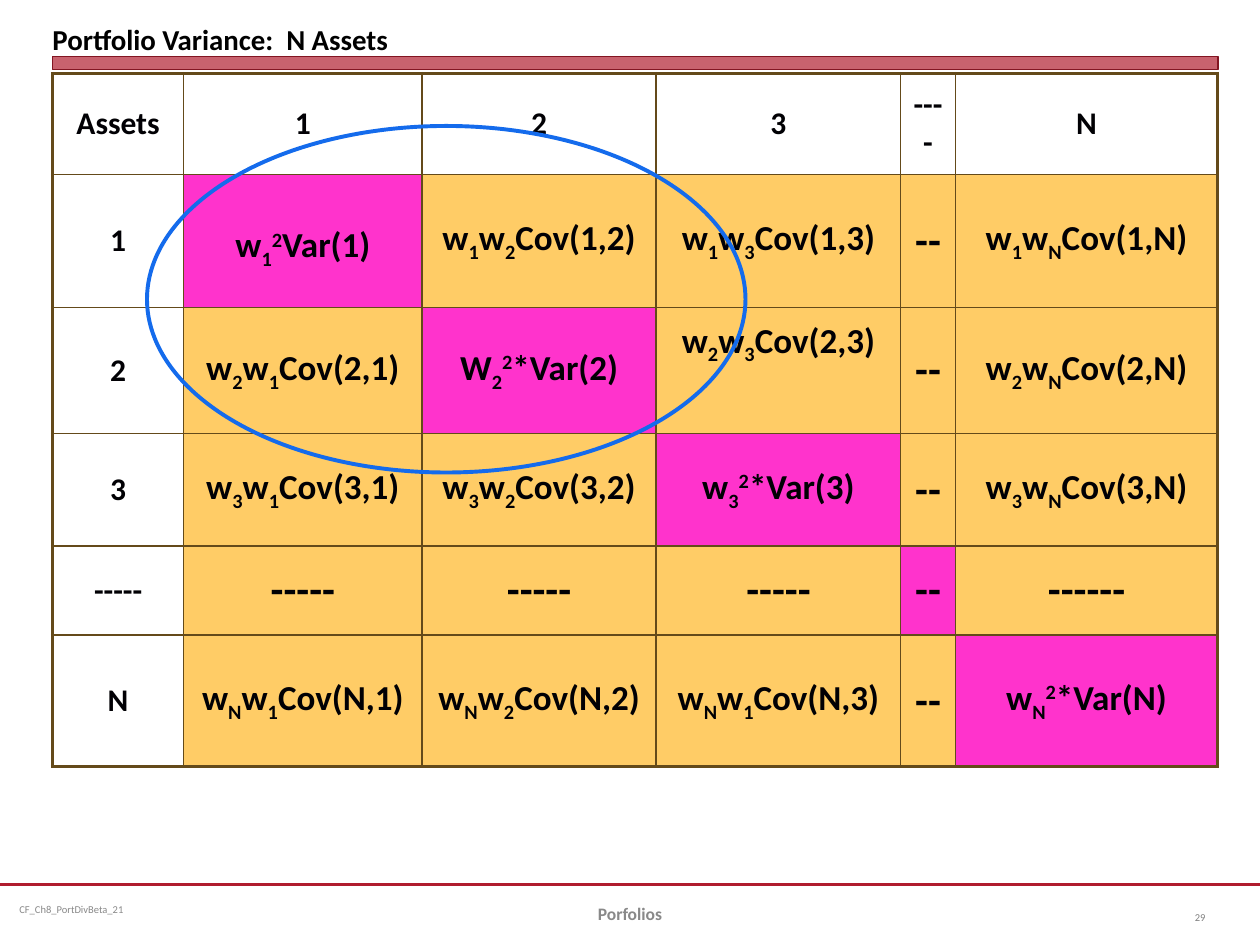
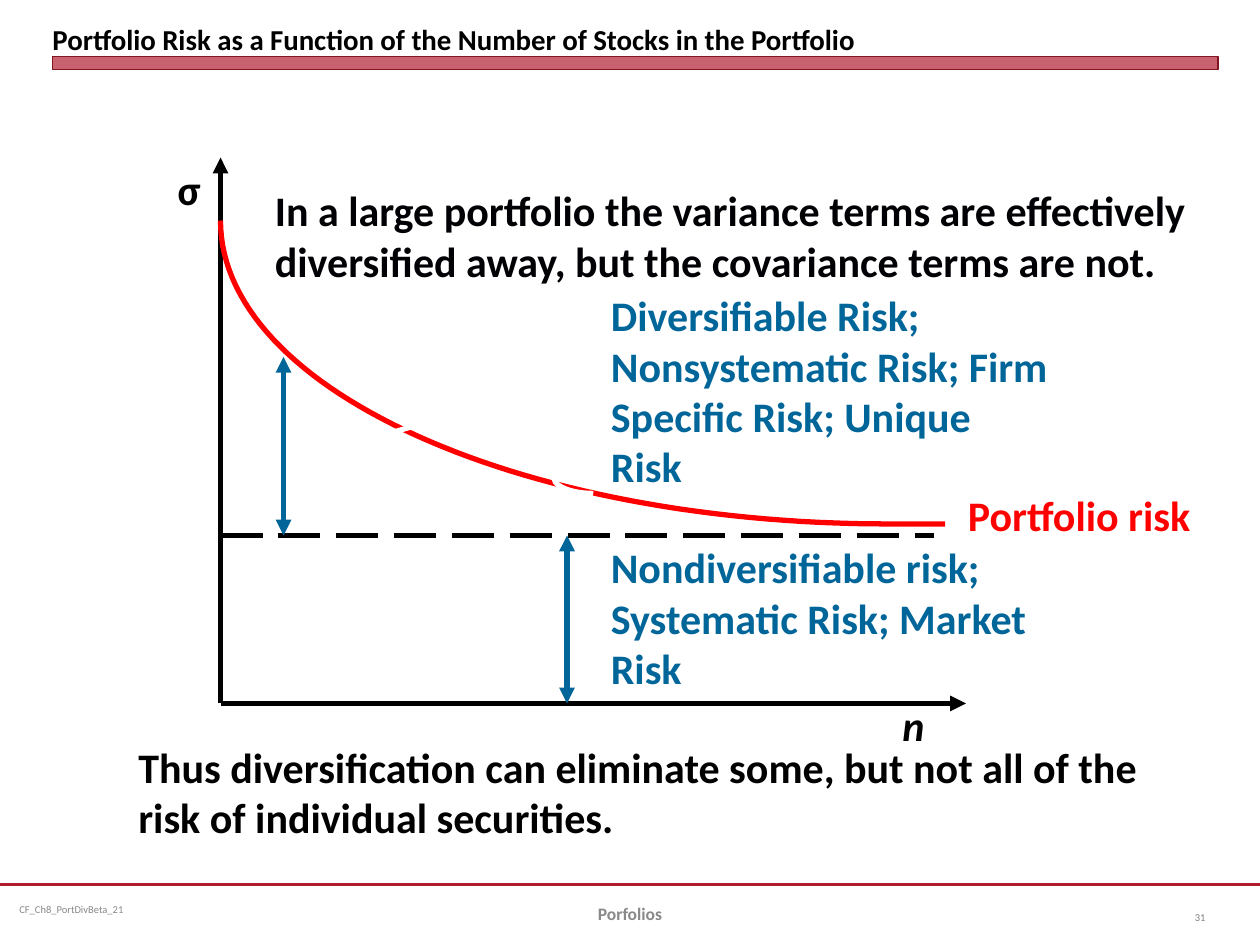
import pptx
import pptx.dml.color
import pptx.enum.dml
import pptx.enum.shapes
import pptx.enum.text
import pptx.oxml
import pptx.oxml.ns
import pptx.util

RGB = pptx.dml.color.RGBColor
SHAPE = pptx.enum.shapes.MSO_SHAPE
ALIGN = pptx.enum.text.PP_ALIGN
ANCHOR = pptx.enum.text.MSO_ANCHOR
Pt = pptx.util.Pt

BLACK = RGB(0, 0, 0)
WHITE = RGB(255, 255, 255)
INK = RGB(0x01, 0x00, 0x04)
CRIMSON = RGB(0xB0, 0x1C, 0x2E)
MAROON = RGB(0x82, 0x15, 0x22)
GREY = RGB(0x89, 0x89, 0x89)
PAGE_GREY = RGB(0x80, 0x80, 0x80)
BROWN = RGB(0x64, 0x4A, 0x1A)
PINK = RGB(0xFF, 0x33, 0xCC)
AMBER = RGB(0xFF, 0xCC, 0x66)
BLUE = RGB(0x14, 0x6B, 0xEC)
TEAL = RGB(0x00, 0x66, 0x99)
RED = RGB(255, 0, 0)

# All places are counted in grid units: 120 columns by 90 rows, 12 to the inch
COLUMNS, ROWS = 120, 90
UNIT = pptx.util.Inches(1) / 12
LEFT, CONTENT_WIDTH = 5, 111

FOOTER_FILE = "CF_Ch8_PortDivBeta_21"
FOOTER_TOPIC = "Porfolios"

VARIANCE_TITLE = "Portfolio Variance:  N Assets"
# "_" lowers the next letter and "^" raises it
VARIANCE_ROWS = [
    ["Assets", "1", "2", "3", "----", "N"],
    ["1", "w_1^2Var(1)", "w_1w_2Cov(1,2)", "w_1w_3Cov(1,3)", "--", "w_1w_NCov(1,N)"],
    ["2", "w_2w_1Cov(2,1)", "W_2^2*Var(2)", "w_2w_3Cov(2,3)", "--", "w_2w_NCov(2,N)"],
    ["3", "w_3w_1Cov(3,1)", "w_3w_2Cov(3,2)", "w_3^2*Var(3)", "--", "w_3w_NCov(3,N)"],
    ["-----", "-----", "-----", "-----", "--", "------"],
    ["N", "w_Nw_1Cov(N,1)", "w_Nw_2Cov(N,2)", "w_Nw_1Cov(N,3)", "--", "w_N^2*Var(N)"],
]
COLUMN_WIDTHS = [12.5, 22.7, 22.3, 23.3, 5.2, 25]
ROW_HEIGHTS = [9.6, 12.7, 12, 10.7, 8.5, 12.5]
BASELINES = {"_": "-25000", "^": "30000"}
LOOSE_CELL, RAISED_CELL = (1, 1), (2, 3)
TWO_ASSET_RING = (14, 12, 57, 33)

RISK_TITLE = "Portfolio Risk as a Function of the Number of Stocks in the Portfolio"
ORIGIN_X, ORIGIN_Y, MARKET_Y = 21, 67, 51
AXES = [
    ((ORIGIN_X, ORIGIN_Y), (ORIGIN_X, 15), BLACK, ["tail"]),
    ((ORIGIN_X, ORIGIN_Y), (92, ORIGIN_Y), BLACK, ["tail"]),
]
MARKET_LINE = ((ORIGIN_X, MARKET_Y), (89, MARKET_Y), BLACK)
POINTERS = [
    ((54, MARKET_Y), (54, ORIGIN_Y), TEAL, ["head", "tail"]),
    ((27, 34), (27, MARKET_Y), TEAL, ["head", "tail"]),
    ((48, 38), (28, 44), WHITE, ["tail"]),
]
CURVE_END = (90, 49.9)
CURVE_CONTROLS = [(85, 49.9), (49.7, 50), (ORIGIN_X, 37.1), (ORIGIN_X, 21)]
CURVE_STEPS = 60
BRACE = (49, 29, 7.5, 18)
RISK_TEXTS = [
    ("Nondiversifiable risk; Systematic Risk; Market Risk",
     (57, 51, 42, 15.7), TEAL, {}, {}),
    ("Diversifiable Risk; Nonsystematic Risk; Firm Specific Risk; Unique Risk",
     (57, 27, 44, 20.7), TEAL, {}, {}),
    ("n", (82, 66, 10, 6), BLACK, {"italic": True}, {"alignment": ALIGN.CENTER}),
    ("σ", (13, 15, 10, 6), BLACK, {}, {"alignment": ALIGN.CENTER}),
    ("In a large portfolio the variance terms are effectively diversified away, "
     "but the covariance terms are not.", (25, 17, 97, 10.9), INK, {}, {}),
    ("Thus diversification can eliminate some, but not all of the risk of "
     "individual securities.", (12, 70, 103, 10.9), BLACK, {}, {}),
    ("Portfolio risk", (91, 46, 29, 6), RED, {}, {}),
]


def units(*counts):
    return [round(count * UNIT) for count in counts]


def apply(target, values):
    for name, value in values.items():
        setattr(target, name, value)


def style_font(font, size, color, **extra):
    apply(font, {"name": "Calibri", "size": Pt(size), **extra})
    font.color.rgb = color


def add_element(parent, tag, **attributes):
    element = parent.makeelement(pptx.oxml.ns.qn(tag), attributes)
    parent.append(element)
    return element


def add_text(page, text, place, size, color, font=None, para_format=None,
             anchor=ANCHOR.TOP, margins=(0.1, 0.05)):
    """Add a wrapping text box; margins are (sides, top and bottom) in inches."""
    box = page.shapes.add_textbox(*units(*place))
    side, edge = [pptx.util.Inches(margin) for margin in margins]
    apply(box.text_frame, {
        "word_wrap": True, "vertical_anchor": anchor,
        "margin_left": side, "margin_right": side,
        "margin_top": edge, "margin_bottom": edge})
    para = box.text_frame.paragraphs[0]
    apply(para, para_format or {})
    span = para.add_run()
    span.text = text
    style_font(span.font, size, color, **(font or {}))


def add_line(page, start, end, color, heads=(), width=3):
    line = page.shapes.add_connector(
        pptx.enum.shapes.MSO_CONNECTOR.STRAIGHT, *units(*start, *end))
    line.line.color.rgb = color
    line.line.width = Pt(width)
    for head in heads:
        add_element(line.line._get_or_add_ln(), f"a:{head}End", type="triangle")
    add_element(line._element.spPr, "a:effectLst")
    return line


def outline(shape, color, width):
    shape.shadow.inherit = False
    shape.line.color.rgb = color
    shape.line.width = Pt(width)


def add_outlined(page, kind, place, color, width):
    """Add an unfilled preset shape."""
    shape = page.shapes.add_shape(kind, *units(*place))
    shape.fill.background()
    outline(shape, color, width)
    return shape


def start_page(deck, title, number):
    """Add a blank slide with the shared rule, band, title and footers."""
    page = deck.slides.add_slide(deck.slide_layouts[6])
    add_line(page, (0, 84.25), (COLUMNS, 84.25), CRIMSON, width=1.25)
    add_text(page, FOOTER_FILE, (1, 84.25, 31, 4.8), 6, GREY,
             anchor=ANCHOR.MIDDLE, margins=(0.07, 0.04))
    band = add_outlined(page, SHAPE.RECTANGLE, (LEFT, 5.4, CONTENT_WIDTH, 1.2), MAROON, 0)
    band.fill.solid()
    band.fill.fore_color.rgb = CRIMSON
    tint = band._element.spPr.find(pptx.oxml.ns.qn("a:solidFill"))[0]
    add_element(tint, "a:alpha", val="69000")
    add_text(page, title, (LEFT, 0.6, CONTENT_WIDTH, 4.8), 16.5, BLACK, {"bold": True},
             anchor=ANCHOR.BOTTOM, margins=(0, 0))
    add_text(page, FOOTER_TOPIC, (41, 84.6, 38, 4.8), 10, GREY, {"bold": True},
             {"alignment": ALIGN.CENTER}, ANCHOR.MIDDLE)
    add_text(page, str(number), (110, 85, 6, 4.8), 6, PAGE_GREY, None,
             {"alignment": ALIGN.RIGHT}, ANCHOR.MIDDLE)
    return page


def split_formula(formula):
    """Return (text, baseline) pieces of a marked-up formula."""
    pieces, shift = [], None
    for letter in formula:
        if letter in BASELINES:
            shift = BASELINES[letter]
        elif shift is None and pieces and pieces[-1][1] is None:
            pieces[-1] = (pieces[-1][0] + letter, None)
        else:
            pieces.append((letter, shift))
            shift = None
    return pieces


def add_borders(cell, row, column):
    last = len(VARIANCE_ROWS) - 1
    on_rim = {"L": column == 0, "R": column == last, "T": row == 0, "B": row == last}
    for side, outer in on_rim.items():
        border = add_element(cell._tc.get_or_add_tcPr(), f"a:ln{side}",
                             w=str(Pt(2.25 if outer else 1)))
        paint = add_element(border, "a:solidFill")
        add_element(paint, "a:srgbClr", val=str(BROWN))


def fill_cell(cell, row, column, formula):
    is_header = row == 0 or column == 0
    add_borders(cell, row, column)
    if is_header:
        cell.fill.background()
    else:
        cell.fill.solid()
        cell.fill.fore_color.rgb = PINK if row == column else AMBER
    bottom = 0.48 if (row, column) == RAISED_CELL else 0.05
    apply(cell, {
        "vertical_anchor": ANCHOR.MIDDLE,
        "margin_left": pptx.util.Inches(0.09), "margin_right": pptx.util.Inches(0.09),
        "margin_top": pptx.util.Inches(0.05), "margin_bottom": pptx.util.Inches(bottom)})
    para = cell.text_frame.paragraphs[0]
    para.alignment = ALIGN.CENTER
    if (row, column) == LOOSE_CELL:
        para.line_spacing = 1.3
    size = 18 if is_header else 24 if formula.startswith("-") else 20
    for text, baseline in split_formula(formula):
        span = para.add_run()
        span.text = text
        style_font(span.font, size, INK, bold=True)
        if baseline:
            span._r.get_or_add_rPr().set("baseline", baseline)


def build_variance_page(deck):
    page = start_page(deck, VARIANCE_TITLE, 29)
    table = page.shapes.add_table(
        len(ROW_HEIGHTS), len(COLUMN_WIDTHS),
        *units(LEFT, 7, CONTENT_WIDTH, sum(ROW_HEIGHTS))).table
    apply(table, {"first_row": False, "horz_banding": False})
    for column, width in zip(table.columns, units(*COLUMN_WIDTHS)):
        column.width = width
    for row, height in zip(table.rows, units(*ROW_HEIGHTS)):
        row.height = height
    for row, formulas in enumerate(VARIANCE_ROWS):
        for column, formula in enumerate(formulas):
            fill_cell(table.cell(row, column), row, column, formula)
    add_outlined(page, SHAPE.OVAL, TWO_ASSET_RING, BLUE, 2.25)


def curve_point(share):
    """Return the point at a share (0 to 1) of the cubic risk curve."""
    rest = 1 - share
    weights = (rest ** 3, 3 * rest ** 2 * share, 3 * rest * share ** 2, share ** 3)
    return units(*(sum(weight * point[axis] for weight, point in zip(weights, CURVE_CONTROLS))
                   for axis in (0, 1)))


def add_risk_curve(page):
    builder = page.shapes.build_freeform(*units(*CURVE_END))
    builder.add_line_segments(
        [curve_point(step / CURVE_STEPS) for step in range(CURVE_STEPS + 1)], close=False)
    curve = builder.convert_to_shape()
    curve.fill.background()
    outline(curve, RED, 3)


def build_risk_page(deck):
    page = start_page(deck, RISK_TITLE, 31)
    for axis in AXES:
        add_line(page, *axis)
    market = add_line(page, *MARKET_LINE)
    market.line.dash_style = pptx.enum.dml.MSO_LINE.LONG_DASH
    add_risk_curve(page)
    brace = add_outlined(page, SHAPE.LEFT_BRACE, BRACE, WHITE, 3)
    brace.adjustments[0] = 0.2
    for pointer in POINTERS:
        add_line(page, *pointer)
    for text, place, color, font, para_format in RISK_TEXTS:
        add_text(page, text, place, 24, color, {"bold": True, **font}, para_format)


def main():
    deck = pptx.Presentation()
    deck.slide_width, deck.slide_height = units(COLUMNS, ROWS)
    build_variance_page(deck)
    build_risk_page(deck)
    deck.save("out.pptx")


if __name__ == "__main__":
    main()
